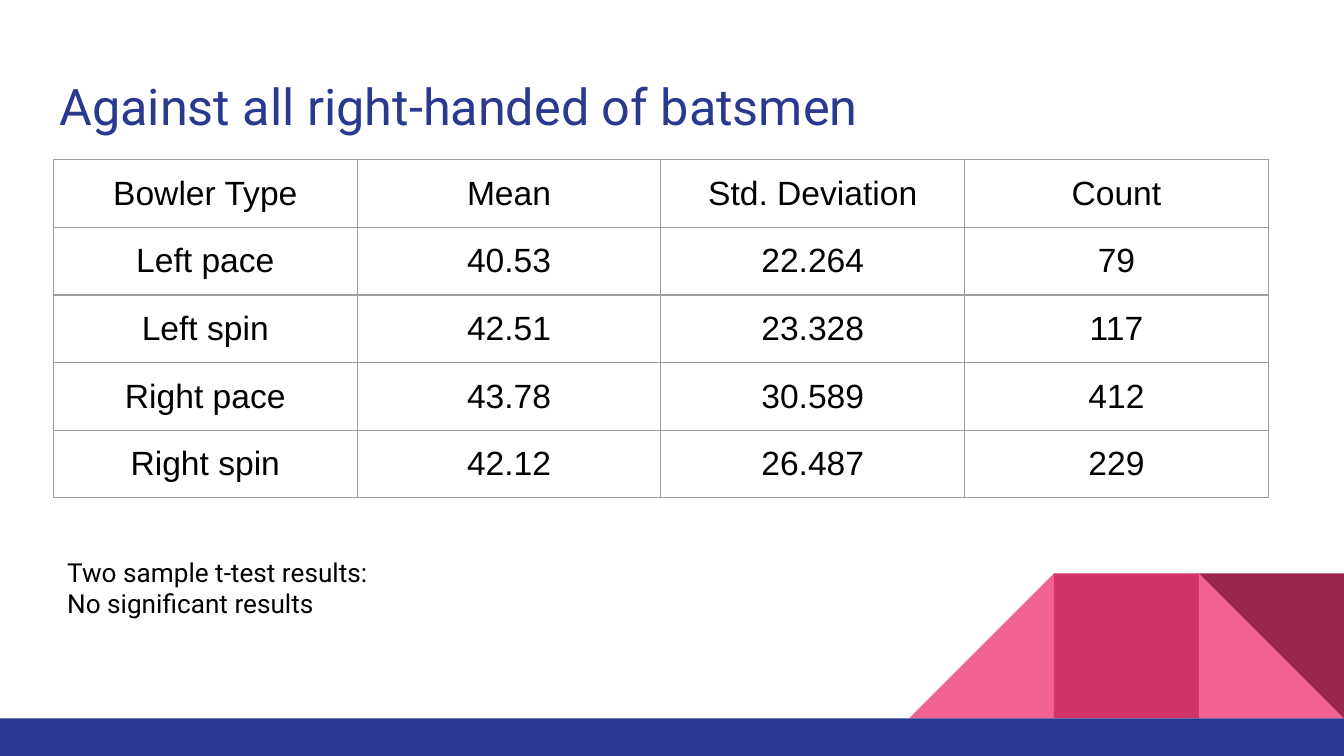
from lxml.etree import SubElement
from pptx import Presentation
from pptx.dml.color import RGBColor
from pptx.enum.shapes import MSO_SHAPE as Shape
from pptx.enum.text import MSO_ANCHOR as Anchor, PP_ALIGN as Align
from pptx.oxml.ns import qn
from pptx.util import Cm, Pt

NAVY, BLACK, GREY = "2A3990", "000000", "9E9E9E"
PINK, ROSE, WINE = "F06292", "D23369", "9C254D"
WIDTH, HEIGHT = 25.4, 14.29
BAND_TOP = 13.58
TILE = 2.74
INSET = 0.25

BOWLING_STATS = [
    ("Bowler Type", "Mean", "Std. Deviation", "Count"),
    ("Left pace", "40.53", "22.264", "79"),
    ("Left spin", "42.51", "23.328", "117"),
    ("Right pace", "43.78", "30.589", "412"),
    ("Right spin", "42.12", "26.487", "229"),
]


def rgb(hex_code):
    return RGBColor.from_string(hex_code)


def write_text(frame, text, *, size, font, color=BLACK, align=Align.LEFT):
    """Write one paragraph per line of text."""
    for index, line in enumerate(text.split("\n")):
        paragraph = frame.add_paragraph() if index else frame.paragraphs[0]
        paragraph.alignment = align
        run = paragraph.add_run()
        run.text = line
        run.font.size = Pt(size)
        run.font.name = font
        run.font.color.rgb = rgb(color)


def set_insets(target):
    target.margin_left = target.margin_right = Cm(INSET)
    target.margin_top = target.margin_bottom = Cm(INSET)


def place(item, left, top, width, height):
    item.left, item.top = Cm(left), Cm(top)
    item.width, item.height = Cm(width), Cm(height)


def add_block(slide, kind, left, top, width, height, color, rotation=0):
    block = slide.shapes.add_shape(kind, Cm(left), Cm(top), Cm(width), Cm(height))
    block.shadow.inherit = False
    block.fill.solid()
    block.fill.fore_color.rgb = rgb(color)
    block.line.fill.background()
    block.rotation = rotation


def add_footer(slide, top, width, height):
    """Draw the band and the row of tiles standing on its right end."""
    tiles = [
        (0, Shape.RIGHT_TRIANGLE, PINK, 270),
        (1, Shape.RECTANGLE, ROSE, 0),
        (2, Shape.RIGHT_TRIANGLE, PINK, 0),
        (2, Shape.RIGHT_TRIANGLE, WINE, 180),
    ]
    for column, kind, color, rotation in tiles:
        left = width - (3 - column) * TILE
        add_block(slide, kind, left, top - TILE, TILE, TILE, color, rotation)
    add_block(slide, Shape.RECTANGLE, 0, top, width, height, NAVY)


def add_title(slide, left, top, width, height):
    title = slide.shapes.title
    place(title, left, top, width, height)
    frame = title.text_frame
    set_insets(frame)
    frame.vertical_anchor = Anchor.BOTTOM
    write_text(frame, "Against all right-handed of batsmen",
               size=27, font="Roboto", color=NAVY)


def outline_cell(cell):
    properties = cell._tc.get_or_add_tcPr()
    for position, side in enumerate(("a:lnL", "a:lnR", "a:lnT", "a:lnB")):
        border = properties.makeelement(qn(side), {"w": str(Pt(0.75))})
        fill = SubElement(border, qn("a:solidFill"))
        SubElement(fill, qn("a:srgbClr"), val=GREY)
        properties.insert(position, border)


def add_stats_table(slide, left, top, width, height):
    row_count, column_count = len(BOWLING_STATS), len(BOWLING_STATS[0])
    table = slide.shapes.add_table(row_count, column_count, Cm(left), Cm(top),
                                   Cm(width), Cm(height)).table
    table.first_row = table.horz_banding = False
    for column in table.columns:
        column.width = Cm(width / column_count)
    for row, values in zip(table.rows, BOWLING_STATS):
        row.height = Cm(height / row_count)
        for cell, value in zip(row.cells, values):
            set_insets(cell)
            cell.vertical_anchor = Anchor.MIDDLE
            cell.fill.background()
            outline_cell(cell)
            write_text(cell.text_frame, value, size=18, font="Arial",
                       align=Align.CENTER)


def add_test_results(slide, left, top, width, height):
    results = slide.shapes.add_textbox(Cm(left), Cm(top), Cm(width), Cm(height))
    frame = results.text_frame
    frame.word_wrap = True
    set_insets(frame)
    write_text(frame, "Two sample t-test results:\nNo significant results",
               size=14, font="Roboto")


def main():
    deck = Presentation()
    deck.slide_width, deck.slide_height = Cm(WIDTH), Cm(HEIGHT)
    slide = deck.slides.add_slide(deck.slide_layouts[5])
    add_footer(slide, BAND_TOP, WIDTH, HEIGHT - BAND_TOP)
    add_title(slide, 0.87, 1.14, 23.67, 1.68)
    add_stats_table(slide, 1.01, 3.02, 22.96, 6.39)
    add_test_results(slide, 1.02, 10.26, 16.08, 1.7)
    deck.save("out.pptx")


if __name__ == "__main__":
    main()
